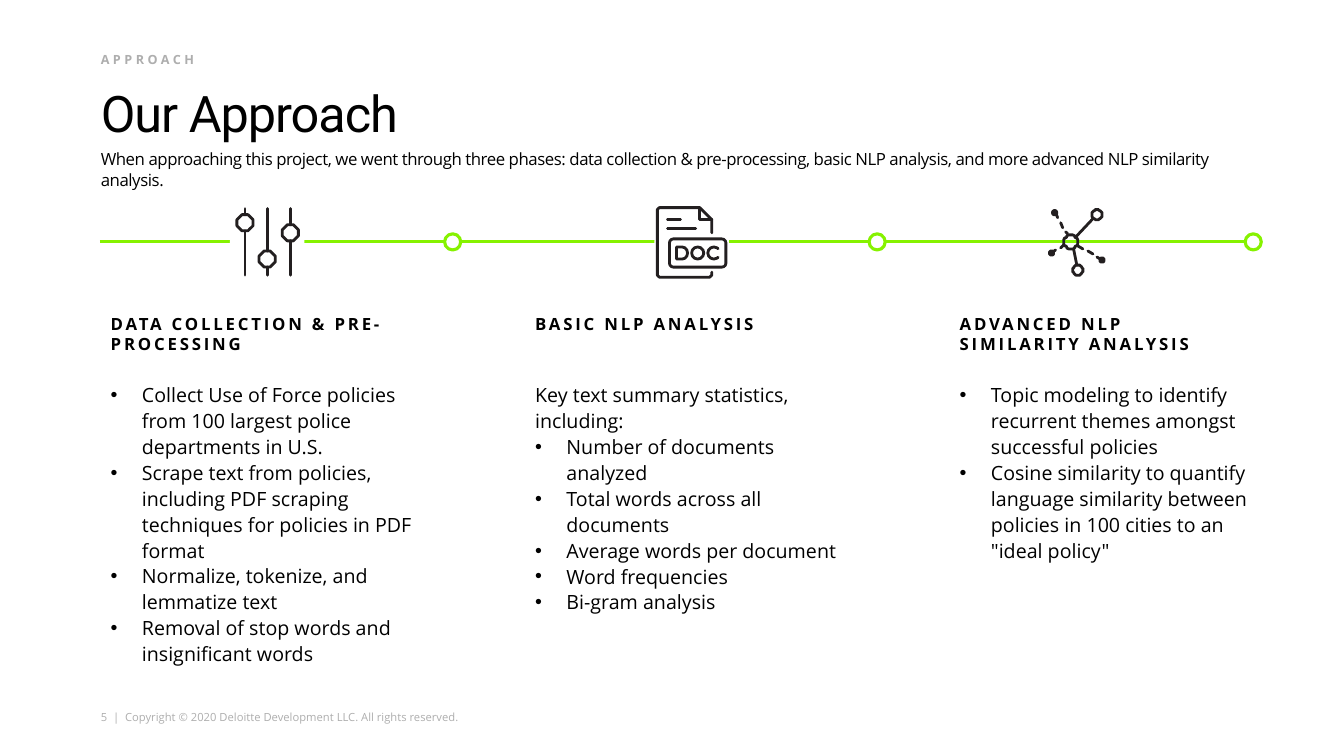
from math import cos, radians, sin
from lxml.etree import SubElement
from pptx import Presentation
from pptx.dml.color import RGBColor
from pptx.enum.shapes import MSO_CONNECTOR, MSO_SHAPE
from pptx.enum.text import MSO_ANCHOR
from pptx.oxml.ns import qn
from pptx.util import Pt

PX = 9144  # 100 px to the inch
BLACK, GREY, WHITE, GREEN, INK = "000000", "AEAEAE", "FFFFFF", "86F200", "231F20"
BULLET = "• "

deck = Presentation()
deck.slide_width, deck.slide_height = 1333 * PX, 750 * PX
slide = deck.slides.add_slide(deck.slide_layouts[6])
shapes = slide.shapes


def add_text(text, left, top, width, height, size, font="Open Sans", color=BLACK,
             bold=False, spacing=0, leading=None, insets=(0, 0, 0, 0),
             anchor=MSO_ANCHOR.TOP, wrap=True):
    """Each line of text is a paragraph; a line starting with BULLET is a list item."""
    frame = shapes.add_textbox(left * PX, top * PX, width * PX, height * PX).text_frame
    frame.word_wrap = wrap
    frame.vertical_anchor = anchor
    (frame.margin_left, frame.margin_top,
     frame.margin_right, frame.margin_bottom) = [inset * PX for inset in insets]
    for number, line in enumerate(text.split("\n")):
        paragraph = frame.add_paragraph() if number else frame.paragraphs[0]
        if line.startswith(BULLET):
            properties = paragraph._p.get_or_add_pPr()
            properties.set("marL", str(31 * PX))
            properties.set("indent", str(-31 * PX))
            SubElement(properties, qn("a:buFont")).set("typeface", "Arial")
            SubElement(properties, qn("a:buChar")).set("char", BULLET.strip())
        if leading:
            paragraph.line_spacing = leading
        run = paragraph.add_run()
        run.text = line.removeprefix(BULLET)
        run.font.name, run.font.size, run.font.bold = font, Pt(size), bold
        run.font.color.rgb = RGBColor.from_string(color)
        if spacing:
            run._r.get_or_add_rPr().set("spc", str(round(spacing * 100)))


def style(part, line=INK, width=2, fill=None):
    """Set outline and fill, drop the shadow, and round the ends of icon strokes."""
    if hasattr(part, "fill"):
        if fill:
            part.fill.solid()
            part.fill.fore_color.rgb = RGBColor.from_string(fill)
        else:
            part.fill.background()
    if line:
        part.line.color.rgb = RGBColor.from_string(line)
        part.line.width = Pt(width)
    else:
        part.line.fill.background()
    properties = part._element.spPr
    if line == INK:
        outline = properties.find(qn("a:ln"))
        outline.set("cap", "rnd")
        SubElement(outline, qn("a:round"))
    SubElement(properties, qn("a:effectLst"))


# Heading and footer
add_text("5  |  Copyright © 2020 Deloitte Development LLC. All rights reserved.",
         100, 705, 367, 13, 8, color=GREY, wrap=False)
add_text("Our Approach", 100, 76, 1133, 65, 36, font="Roboto", spacing=-0.75,
         leading=0.8, insets=(0, 5, 0, 0), anchor=MSO_ANCHOR.BOTTOM)
add_text("When approaching this project, we went through three phases: data collection "
         "& pre-processing, basic NLP analysis, and more advanced NLP similarity analysis.",
         100, 148, 1133, 52, 12, spacing=-0.3)
add_text("APPROACH", 100, 51, 367, 22, 9, color=GREY, bold=True, spacing=2.5)

# Timeline with white icon grounds and end-of-phase markers
timeline = shapes.add_connector(MSO_CONNECTOR.STRAIGHT, 99 * PX, 240 * PX, 1242 * PX, 240 * PX)
style(timeline, GREEN, 2.25)
for ground_left in (228, 649):
    ground = shapes.add_shape(MSO_SHAPE.OVAL, ground_left * PX, 204 * PX, 74 * PX, 74 * PX)
    style(ground, line=None, fill=WHITE)
for marker_left in (441, 862, 1235):
    marker = shapes.add_shape(MSO_SHAPE.OVAL, marker_left * PX, 232 * PX, 16 * PX, 16 * PX)
    style(marker, GREEN, 2.25, WHITE)

# Phase headings and details
phases = [
    ("DATA COLLECTION & PRE-PROCESSING",
     "• Collect Use of Force policies from 100 largest police departments in U.S.\n"
     "• Scrape text from policies, including PDF scraping techniques for policies in PDF format\n"
     "• Normalize, tokenize, and lemmatize text\n"
     "• Removal of stop words and insignificant words", 294),
    ("BASIC NLP ANALYSIS",
     "Key text summary statistics, including:\n"
     "• Number of documents analyzed\n"
     "• Total words across all documents\n"
     "• Average words per document\n"
     "• Word frequencies\n"
     "• Bi-gram analysis", 268),
    ("ADVANCED NLP SIMILARITY ANALYSIS",
     "• Topic modeling to identify recurrent themes amongst successful policies\n"
     "• Cosine similarity to quantify language similarity between policies in 100 cities "
     "to an \"ideal policy\"", 190),
]
for column, (heading, details, height) in enumerate(phases):
    left = 100 + 421 * column
    add_text(heading, left, 306, 300, 50, 12, bold=True, spacing=2, insets=(10, 5, 10, 5))
    add_text(details, left, 373, 330, height, 14, leading=1.1, insets=(10, 5, 10, 5))

# Icon outlines: rings (centre, radius), open lines, fill
icon_outlines = [
    # sliders: a knob between two pieces of stem
    *[([(x, y, 8)], [[(x, 207), (x, y - 8)], [(x, y + 8), (x, 273)]], None)
      for x, y in ((243, 221), (265, 257), (288, 231))],
    # network hub with its two linked nodes and the starts of the dashed links
    ([(1062, 240, 7), (1088, 213, 5), (1069, 268, 5)],
     [[(1068, 234), (1084, 217)], [(1065, 248), (1068, 263)], [(1059, 232), (1057, 230)],
      [(1055, 243), (1052, 246)], [(1069, 244), (1074, 247)]], None),
    # network end dots
    ([(1046, 211, 2)], [[(1047, 211), (1049, 216)]], INK),
    ([(1043, 251, 2)], [[(1043, 251), (1047, 248)]], INK),
    ([(1093, 258, 2)], [[(1088, 255), (1093, 258)]], INK),
    # middle dashes
    ([], [[(1052, 221), (1054, 226)]], None),
    ([], [[(1079, 249), (1084, 252)]], None),
    # document page, its folded corner and its text lines
    ([], [[(706, 270), (706, 273), (704, 275), (654, 275), (652, 273), (652, 208), (654, 206),
           (694, 206), (706, 218), (706, 231)],
          [(694, 206), (694, 218), (706, 218)]], None),
    ([], [[(662, 227), (690, 227)]], None),
    ([], [[(662, 218), (675, 218)]], None),
]
for rings, lines, fill in icon_outlines:
    contours = [([(x + radius * cos(radians(angle)), y + radius * sin(radians(angle)))
                  for angle in range(0, 360, 10)], True) for x, y, radius in rings]
    contours += [(line, False) for line in lines]
    builder = shapes.build_freeform(*contours[0][0][0], scale=PX)
    for number, (points, closed) in enumerate(contours):
        if number:
            builder.move_to(*points[0])
        builder.add_line_segments(points[1:], close=closed)
    style(builder.convert_to_shape(), fill=fill)

# Document badge with the letters D, O and C
badge_parts = [
    (MSO_SHAPE.ROUNDED_RECTANGLE, 664, 237, 56, 28, [0.14]),
    (MSO_SHAPE.FLOWCHART_DELAY, 671, 245, 11, 12, []),
    (MSO_SHAPE.OVAL, 686, 245, 12, 12, []),
    (MSO_SHAPE.ARC, 702, 245, 12, 12, [27, 189]),  # 45° round to 315°
]
for outline, left, top, width, height, adjustments in badge_parts:
    badge_part = shapes.add_shape(outline, left * PX, top * PX, width * PX, height * PX)
    for index, value in enumerate(adjustments):
        badge_part.adjustments[index] = value
    style(badge_part)

deck.save("out.pptx")
